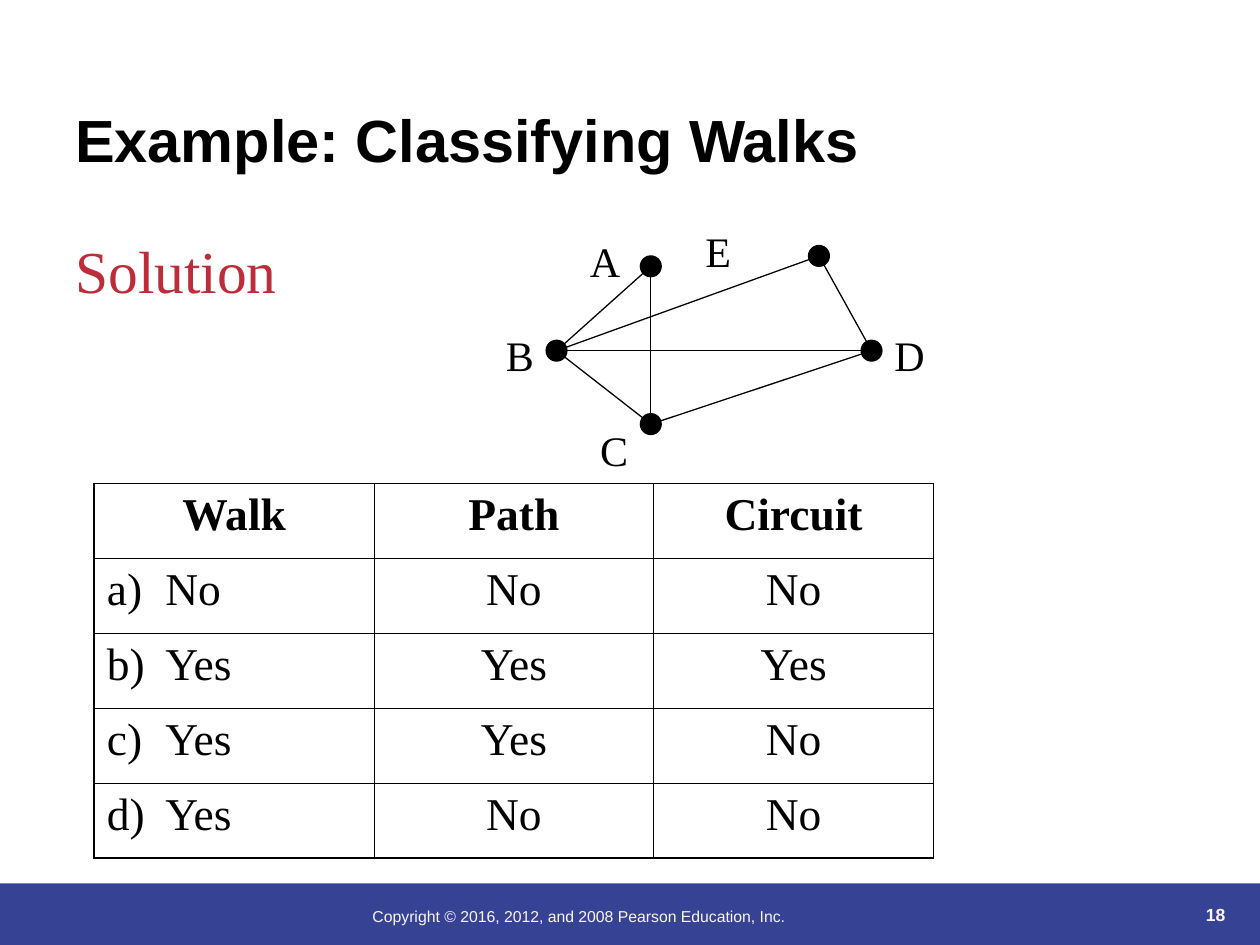
"""Build the slide that classifies walks on a five-vertex graph."""
import pptx
import pptx.dml.color
import pptx.enum.shapes
import pptx.enum.text
import pptx.oxml.ns
import pptx.util
from lxml import etree

Cm = pptx.util.Cm
Pt = pptx.util.Pt
Shape = pptx.enum.shapes.MSO_SHAPE
Align = pptx.enum.text.PP_ALIGN
Anchor = pptx.enum.text.MSO_ANCHOR
qn = pptx.oxml.ns.qn

SERIF, SANS = "Times New Roman", "Arial"
BLACK, CREAM, BLUE, RED = "000000", "FBF5EA", "364395", "BC2C3A"

TEXTS = [
    dict(text="Copyright © 2016, 2012, and 2008 Pearson Education, Inc.",
         box=(7.26, 18.14, 12.5, 0.9), size=9, hue=CREAM),
    dict(text="18", box=(22.61, 17.5, 2.34, 1.27), size=10, hue=CREAM,
         bold=True, align=Align.RIGHT, anchor=Anchor.BOTTOM),
    dict(text="Solution", box=(1.27, 4.45, 6.15, 1.7), size=34, hue=RED,
         font=SERIF, inset=0.27),
    dict(text="Example: Classifying Walks", box=(1.27, 0.46, 22.86, 3.18),
         size=34, bold=True, anchor=Anchor.BOTTOM),
]
NODES = {
    "A": (13.12, 5.37),
    "B": (11.22, 7.07),
    "C": (13.12, 8.55),
    "D": (17.57, 7.07),
    "E": (16.51, 5.16),
}
LABELS = {
    "A": (11.64, 4.52),
    "B": (9.95, 6.43),
    "C": (11.85, 8.33),
    "D": (17.78, 6.43),
    "E": (13.97, 4.32),
}
EDGES = ["BC", "BA", "ED", "BE", "CA", "BD", "CD"]
ROWS = [
    ("Walk", "Path", "Circuit"),
    ("a)\tNo", "No", "No"),
    ("b)\tYes", "Yes", "Yes"),
    ("c)\tYes", "Yes", "No"),
    ("d)\tYes", "No", "No"),
]
DOT = 0.42
LEFT, TOP, WIDE, HIGH = 1.9, 9.75, 5.64, 1.51
THICK, THIN = 1.08, 0.45


def rgb(code):
    return pptx.dml.color.RGBColor.from_string(code)


def write(para, text, size, hue=BLACK, font=SANS, bold=False):
    run = para.add_run()
    run.text = text
    run.font.size = Pt(size)
    run.font.name = font
    run.font.bold = bold
    run.font.color.rgb = rgb(hue)


def add_text(slide, text, box, size, align=Align.LEFT, anchor=Anchor.TOP,
             inset=0.13, **style):
    frame = slide.shapes.add_textbox(*map(Cm, box)).text_frame
    frame.word_wrap = True
    frame.vertical_anchor = anchor
    frame.margin_top = Cm(inset)
    para = frame.paragraphs[0]
    para.alignment = align
    write(para, text, size, **style)


def add_solid(slide, kind, box, hue):
    shape = slide.shapes.add_shape(kind, *map(Cm, box))
    shape.shadow.inherit = False
    shape.fill.solid()
    shape.fill.fore_color.rgb = rgb(hue)
    shape.line.color.rgb = rgb(hue)
    shape.line.width = Pt(0.75)
    return shape


def add_edge(slide, start, end):
    kind = pptx.enum.shapes.MSO_CONNECTOR.STRAIGHT
    edge = slide.shapes.add_connector(kind, *map(Cm, start + end))
    edge.line.color.rgb = rgb(BLACK)
    edge.line.width = Pt(0.75)
    etree.SubElement(edge._element.spPr, qn("a:effectLst"))


def add_graph(slide):
    for x, y in NODES.values():
        box = (x - DOT / 2, y - DOT / 2, DOT, DOT)
        add_solid(slide, Shape.OVAL, box, BLACK)
    for start, end in EDGES:
        add_edge(slide, NODES[start], NODES[end])
    for name, spot in LABELS.items():
        add_text(slide, name, spot + (1.69, 1.27), 24, font=SERIF, inset=0.22)


def set_edges(cell, widths):
    props = cell._tc.get_or_add_tcPr()
    for spot, (side, width) in enumerate(widths.items()):
        line = etree.Element(qn("a:ln" + side), w=str(int(Pt(width))))
        fill = etree.SubElement(line, qn("a:solidFill"))
        etree.SubElement(fill, qn("a:srgbClr"), val=BLACK)
        props.insert(spot, line)


def add_stop(para, place):
    tabs = etree.SubElement(para._p.get_or_add_pPr(), qn("a:tabLst"))
    etree.SubElement(tabs, qn("a:tab"), pos=str(int(Cm(place))), algn="l")


def add_grid(slide):
    rows, cols = len(ROWS), len(ROWS[0])
    box = (LEFT, TOP, cols * WIDE, rows * HIGH)
    grid = slide.shapes.add_table(rows, cols, *map(Cm, box)).table
    for col in grid.columns:
        col.width = Cm(WIDE)
    for r, row in enumerate(ROWS):
        grid.rows[r].height = Cm(HIGH)
        for c, text in enumerate(row):
            cell = grid.cell(r, c)
            cell.fill.background()
            outer = {"L": c == 0, "R": c == cols - 1,
                     "T": r == 0, "B": r == rows - 1}
            set_edges(cell, {side: THICK if rim else THIN
                             for side, rim in outer.items()})
            para = cell.text_frame.paragraphs[0]
            if "\t" in text:
                add_stop(para, 1.18)
            else:
                para.alignment = Align.CENTER
            write(para, text, 26, font=SERIF, bold=r == 0)


def main():
    deck = pptx.Presentation()
    deck.slide_width, deck.slide_height = Cm(25.4), Cm(19.05)
    slide = deck.slides.add_slide(deck.slide_layouts[6])
    band = add_solid(slide, Shape.RECTANGLE, (0, 17.81, 25.4, 1.24), BLUE)
    band.line.fill.background()
    add_graph(slide)
    add_grid(slide)
    for item in TEXTS:
        add_text(slide, **item)
    deck.save("out.pptx")


if __name__ == "__main__":
    main()
